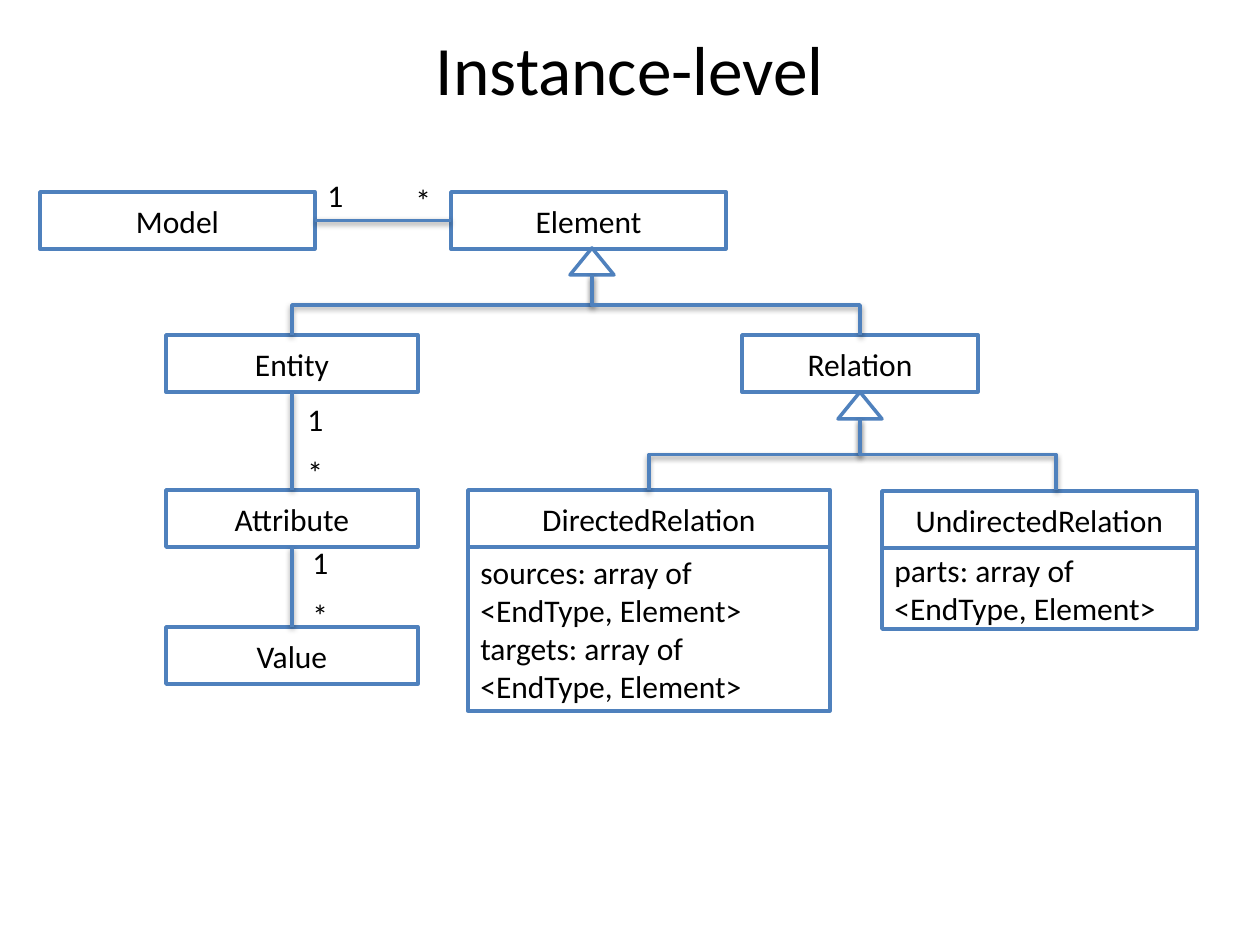
"""Build the instance-level class diagram slide."""
import pptx
import pptx.dml.color
import pptx.enum.shapes
import pptx.enum.text
import pptx.oxml
import pptx.oxml.ns
import pptx.util

SCALE = 914400 / 126
BLUE, WHITE, BLACK = "4F81BD", "FFFFFF", "000000"
MSO = pptx.enum.shapes.MSO_SHAPE
CONN = pptx.enum.shapes.MSO_CONNECTOR
ALIGN = pptx.enum.text.PP_ALIGN
ANCHOR = pptx.enum.text.MSO_ANCHOR
AUTO = pptx.enum.text.MSO_AUTO_SIZE
SHADOW = (
    f"<a:effectLst {pptx.oxml.ns.nsdecls('a')}>"
    '<a:outerShdw blurRad="40000" dist="20000" dir="5400000" rotWithShape="0">'
    '<a:srgbClr val="000000"><a:alpha val="38000"/></a:srgbClr>'
    "</a:outerShdw></a:effectLst>"
)


def emu(*pixels):
    return [round(v * SCALE) for v in pixels]


def paint(color_format, color):
    color_format.rgb = pptx.dml.color.RGBColor.from_string(color)


prs = pptx.Presentation()
prs.slide_width, prs.slide_height = emu(1260, 945)
s = prs.slides.add_slide(prs.slide_layouts[5])

title = s.shapes.title
title.left, title.top, title.width, title.height = emu(63, 38, 1134, 60)
title.text_frame.text = "Instance-level"
title.text_frame.auto_size = AUTO.NONE
title.text_frame.vertical_anchor = ANCHOR.MIDDLE
p = title.text_frame.paragraphs[0]
p.alignment = ALIGN.CENTER
p.font.name, p.font.size = "Calibri", pptx.util.Pt(39.6)
paint(p.font.color, BLACK)

NAME_HEIGHT = 57
boxes = [
    ("Model", 40, 192, 275, NAME_HEIGHT),
    ("Element", 451, 192, 275, NAME_HEIGHT),
    ("Entity", 166, 335, 252, NAME_HEIGHT),
    ("Relation", 742, 335, 236, NAME_HEIGHT),
    ("Attribute", 166, 490, 252, NAME_HEIGHT),
    ("Value", 166, 627, 252, NAME_HEIGHT),
    ("UndirectedRelation", 882, 491, 315, NAME_HEIGHT),
    ("DirectedRelation", 468, 490, 362, NAME_HEIGHT),
    ("sources: array of <EndType, Element>\ntargets: array of <EndType, Element>",
     468, 547, 362, 164),
    ("parts: array of <EndType, Element>", 882, 548, 315, 81),
    ("", 570, 248, 44, 27),
    ("", 838, 392, 44, 27),
]
classes = {}
for text, x, y, w, h in boxes:
    sp = s.shapes.add_shape(MSO.RECTANGLE if text else MSO.ISOSCELES_TRIANGLE, *emu(x, y, w, h))
    sp.shadow.inherit = False
    sp.fill.solid()
    paint(sp.fill.fore_color, WHITE)
    paint(sp.line.color, BLUE)
    sp.line.width = pptx.util.Pt(2)
    if not text:
        continue
    classes[text] = sp
    tf = sp.text_frame
    tf.text = text
    tf.vertical_anchor = ANCHOR.MIDDLE
    for p in tf.paragraphs:
        p.alignment = ALIGN.CENTER if h == NAME_HEIGHT else ALIGN.LEFT
        p.font.name, p.font.size = "Calibri", pptx.util.Pt(18)
        paint(p.font.color, BLACK)

TOP, LEFT, BOTTOM, RIGHT = range(4)
lines = []
for start, start_side, end, end_side in [
    ("Model", RIGHT, "Element", LEFT),
    ("Entity", BOTTOM, "Attribute", TOP),
    ("Attribute", BOTTOM, "Value", TOP),
]:
    sp = s.shapes.add_connector(CONN.STRAIGHT, 0, 0, 0, 0)
    sp.begin_connect(classes[start], start_side)
    sp.end_connect(classes[end], end_side)
    lines.append(sp)

for x1, y1, x2, y2 in [
    (592, 275, 292, 335),
    (592, 275, 860, 335),
    (860, 419, 649, 490),
    (860, 419, 1056, 490),
]:
    cx, cy = (x1 + x2) / 2, (y1 + y2) / 2
    half_w, half_h = (y2 - y1) / 2, abs(x2 - x1) / 2
    turn = 1 if x2 < x1 else -1
    sp = s.shapes.add_connector(CONN.ELBOW, *emu(
        cx - turn * half_w, cy - half_h, cx + turn * half_w, cy + half_h))
    sp._element.spPr.xfrm.set("rot", str(turn % 4 * 90 * 60000))
    lines.append(sp)

for sp in lines:
    paint(sp.line.color, BLUE)
    sp.line.width = pptx.util.Pt(2)
    sp._element.spPr.append(pptx.oxml.parse_xml(SHADOW))

for text, x, y in [
    ("1", 315, 170), ("*", 403, 175),
    ("1", 295, 394), ("*", 295, 447),
    ("1", 300, 537), ("*", 300, 590),
]:
    tf = s.shapes.add_textbox(*emu(x, y, 42, 50)).text_frame
    tf.text = text
    tf.word_wrap = False
    tf.auto_size = AUTO.SHAPE_TO_FIT_TEXT
    p = tf.paragraphs[0]
    p.font.name, p.font.size = "Calibri", pptx.util.Pt(18)
    paint(p.font.color, BLACK)

prs.save("out.pptx")
